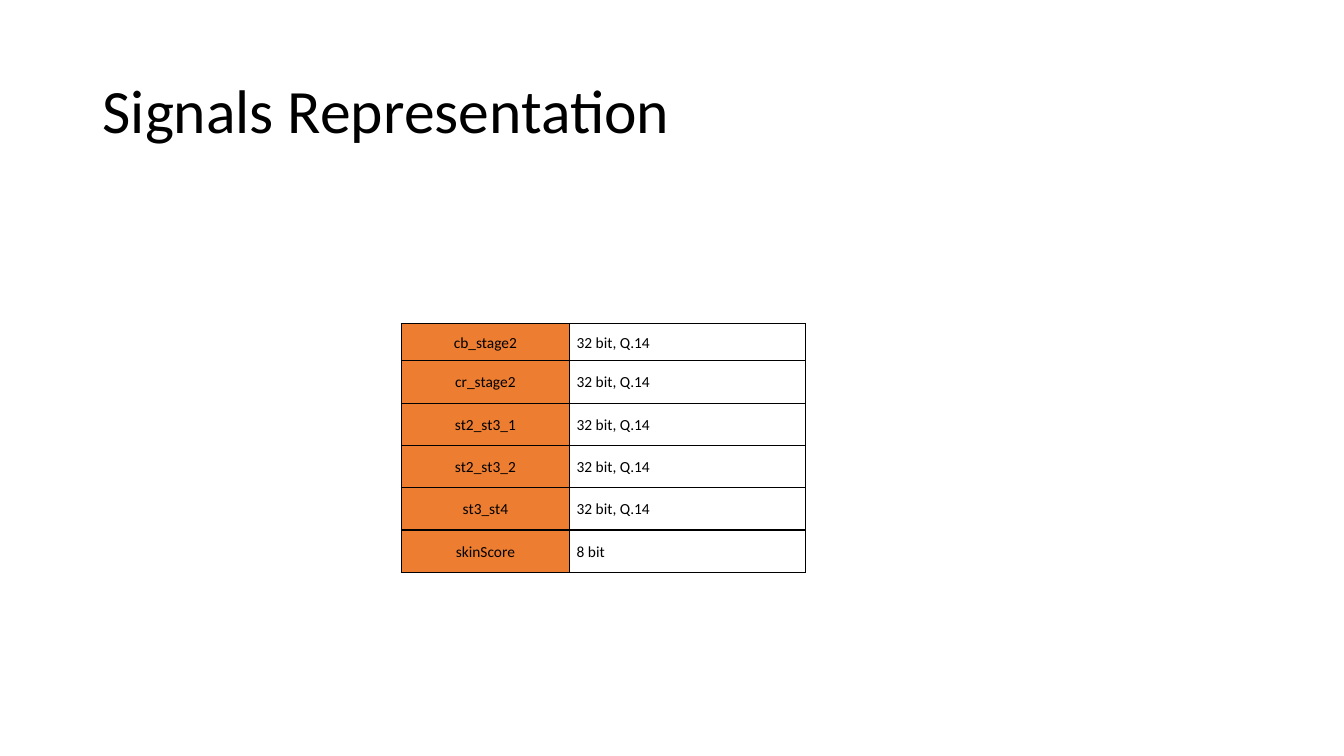
import pptx
import pptx.dml.color
import pptx.enum.text
import pptx.oxml
import pptx.oxml.ns
import pptx.util
from pptx.util import Inches

FONT = "Calibri"
BLACK = "000000"
ORANGE = "ED7D31"
ALIGN = pptx.enum.text.PP_ALIGN
MIDDLE = pptx.enum.text.MSO_ANCHOR.MIDDLE

SIGNALS = [
    ("cb_stage2", "32 bit, Q.14"),
    ("cr_stage2", "32 bit, Q.14"),
    ("st2_st3_1", "32 bit, Q.14"),
    ("st2_st3_2", "32 bit, Q.14"),
    ("st3_st4", "32 bit, Q.14"),
    ("skinScore", "8 bit"),
]
COLUMN_WIDTHS = [1.67, 2.34]
ROW_HEIGHTS = [0.37] + [0.42] * (len(SIGNALS) - 1)


def color(hex_string):
    """Turn a hex string into a colour."""
    return pptx.dml.color.RGBColor.from_string(hex_string)


def write_text(paragraph, text, size, spacing, alignment=ALIGN.LEFT):
    """Add one formatted run to a paragraph."""
    paragraph.alignment = alignment
    paragraph.line_spacing = spacing
    run = paragraph.add_run()
    run.text = text
    run.font.name = FONT
    run.font.size = pptx.util.Pt(size)
    run.font.color.rgb = color(BLACK)


def add_title(slide, text):
    """Add the slide title, centred vertically in its box."""
    box = slide.shapes.add_textbox(Inches(0.92), Inches(0.4), Inches(11.5), Inches(1.45))
    frame = box.text_frame
    frame.word_wrap = True
    frame.vertical_anchor = MIDDLE
    write_text(frame.paragraphs[0], text, 44, 0.9)


def add_borders(cell, hex_string, points):
    """Draw a solid line on all four sides of a cell."""
    properties = cell._tc.get_or_add_tcPr()
    for index, side in enumerate(("lnL", "lnR", "lnT", "lnB")):
        line = pptx.oxml.parse_xml(
            f'<a:{side} {pptx.oxml.ns.nsdecls("a")} w="{pptx.util.Pt(points)}">'
            f'<a:solidFill><a:srgbClr val="{hex_string}"/></a:solidFill></a:{side}>'
        )
        properties.insert(index, line)


def fill_cell(cell, text, alignment, fill=None):
    """Write and format one table cell."""
    cell.margin_left = cell.margin_right = Inches(0.07)
    cell.margin_top = cell.margin_bottom = 0
    cell.vertical_anchor = MIDDLE
    if fill:
        cell.fill.solid()
        cell.fill.fore_color.rgb = color(fill)
    else:
        cell.fill.background()
    add_borders(cell, BLACK, 1)
    write_text(cell.text_frame.paragraphs[0], text, 11, 1.07, alignment)


def add_signal_table(slide):
    """Add the table of signal names and their number formats."""
    table = slide.shapes.add_table(
        len(SIGNALS), len(COLUMN_WIDTHS), Inches(3.98), Inches(3.21),
        Inches(sum(COLUMN_WIDTHS)), Inches(sum(ROW_HEIGHTS)),
    ).table
    table.first_row = False
    table.horz_banding = False
    for column, width in zip(table.columns, COLUMN_WIDTHS):
        column.width = Inches(width)
    for row, height, (signal, number_format) in zip(table.rows, ROW_HEIGHTS, SIGNALS):
        row.height = Inches(height)
        fill_cell(row.cells[0], signal, ALIGN.CENTER, ORANGE)
        fill_cell(row.cells[1], number_format, ALIGN.LEFT)


def main():
    """Build and save the slide."""
    presentation = pptx.Presentation()
    presentation.slide_width = Inches(13.33)
    presentation.slide_height = Inches(7.5)
    slide = presentation.slides.add_slide(presentation.slide_layouts[6])
    add_title(slide, "Signals Representation")
    add_signal_table(slide)
    presentation.save("out.pptx")


main()
